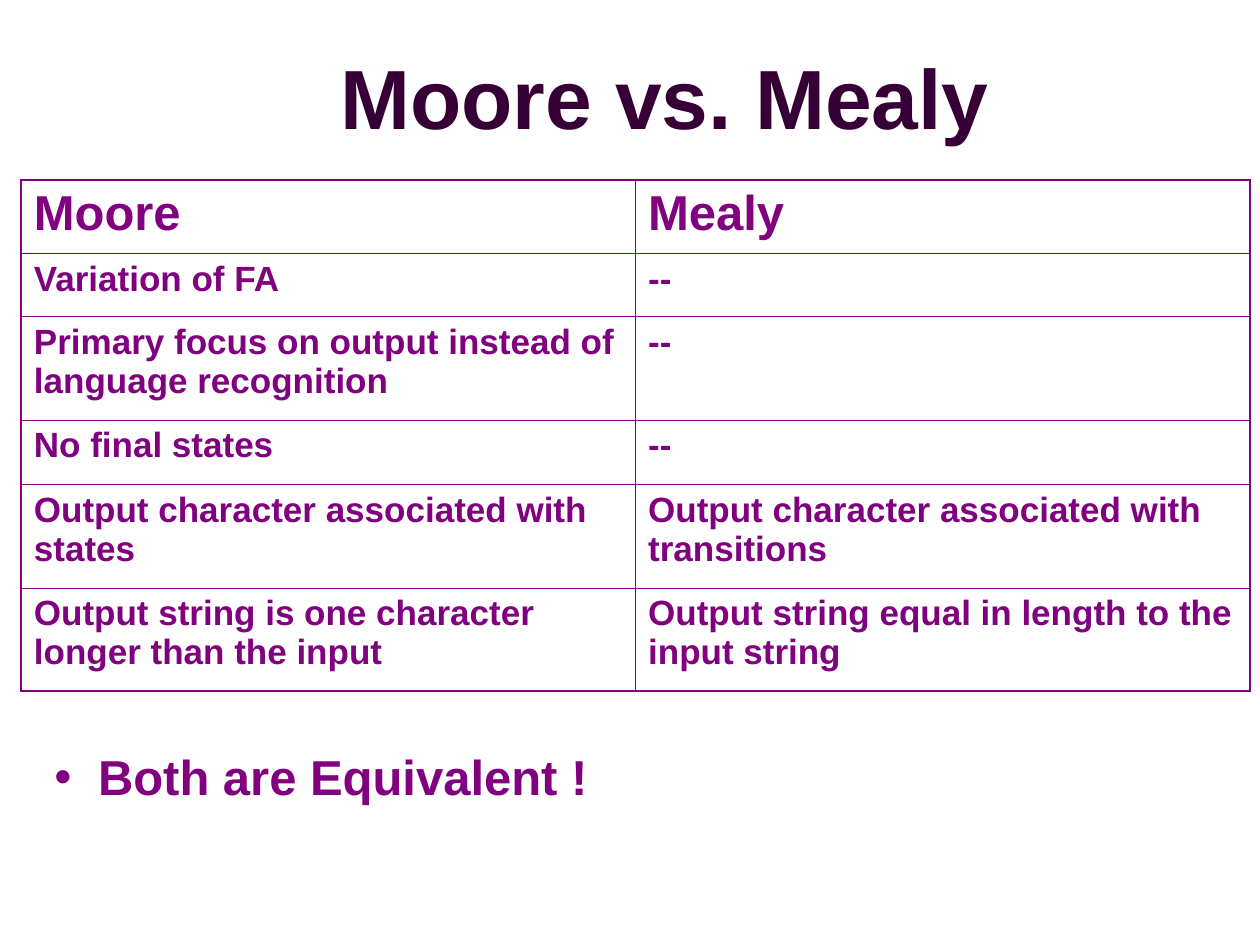
from lxml import etree
from pptx import Presentation
from pptx.dml.color import RGBColor
from pptx.enum.text import MSO_ANCHOR, MSO_AUTO_SIZE, PP_ALIGN
from pptx.oxml.ns import qn
from pptx.util import Pt

CENTER, LEFT = PP_ALIGN.CENTER, PP_ALIGN.LEFT
TOP, MIDDLE = MSO_ANCHOR.TOP, MSO_ANCHOR.MIDDLE
NO_FIT, GROW = MSO_AUTO_SIZE.NONE, MSO_AUTO_SIZE.SHAPE_TO_FIT_TEXT
PURPLE = RGBColor(0x80, 0x00, 0x80)
DARK_PURPLE = RGBColor(0x36, 0x00, 0x36)
FONT = "Arial"
TITLE_SIZE, LARGE_SIZE, CELL_SIZE = 48, 28, 20
OUTER_LINE, INNER_LINE = 1.08, 0.45
BULLET_INDENT = 25

COMPARISON = [
    ("Moore", "Mealy"),
    ("Variation of FA", "--"),
    ("Primary focus on output instead of language recognition", "--"),
    ("No final states", "--"),
    ("Output character associated with states",
     "Output character associated with transitions"),
    ("Output string is one character longer than the input",
     "Output string equal in length to the input string"),
]
ROW_HEIGHTS = [42, 36, 59, 37, 59, 59]
COLUMN_WIDTHS = [351, 351]


class SlideBuilder:
    """Holds the current slide and the shared text style."""

    def __init__(self, presentation):
        self.slide = presentation.slides.add_slide(presentation.slide_layouts[1])

    def add_text(self, frame, text, size, color=PURPLE, alignment=LEFT):
        paragraph = frame.paragraphs[0]
        paragraph.alignment = alignment
        paragraph.space_before = Pt(0)
        run = paragraph.add_run()
        run.text = text
        run.font.name = FONT
        run.font.size = Pt(size)
        run.font.bold = True
        run.font.color.rgb = color

    def place(self, shape, left, top, width, height):
        shape.left, shape.top = Pt(left), Pt(top)
        shape.width, shape.height = Pt(width), Pt(height)

    def title(self, text, *box):
        shape = self.slide.shapes.title
        self.place(shape, *box)
        frame = shape.text_frame
        frame.auto_size = NO_FIT
        frame.vertical_anchor = MIDDLE
        self.add_text(frame, text, TITLE_SIZE, DARK_PURPLE, CENTER)

    def bullet(self, text, *box):
        shape = self.slide.placeholders[1]
        self.place(shape, *box)
        frame = shape.text_frame
        frame.auto_size = GROW
        frame.vertical_anchor = TOP
        frame.margin_top = Pt(5.5)
        properties = frame.paragraphs[0]._p.get_or_add_pPr()
        properties.set("marL", str(Pt(BULLET_INDENT)))
        properties.set("indent", str(-Pt(BULLET_INDENT)))
        etree.SubElement(properties, qn("a:buChar")).set("char", "•")
        self.add_text(frame, text, LARGE_SIZE)

    def border(self, cell, side, width):
        line = etree.SubElement(cell._tc.get_or_add_tcPr(), qn("a:" + side))
        line.set("w", str(Pt(width)))
        fill = etree.SubElement(line, qn("a:solidFill"))
        etree.SubElement(fill, qn("a:srgbClr")).set("val", str(PURPLE))

    def table(self, rows, left, top):
        last_row, last_column = len(rows) - 1, len(COLUMN_WIDTHS) - 1
        table = self.slide.shapes.add_table(
            len(rows), len(COLUMN_WIDTHS), Pt(left), Pt(top),
            Pt(sum(COLUMN_WIDTHS)), Pt(sum(ROW_HEIGHTS))).table
        table.horz_banding = False
        for column, width in zip(table.columns, COLUMN_WIDTHS):
            column.width = Pt(width)
        for row_index, texts in enumerate(rows):
            table.rows[row_index].height = Pt(ROW_HEIGHTS[row_index])
            for column_index, text in enumerate(texts):
                cell = table.cell(row_index, column_index)
                size = LARGE_SIZE if row_index == 0 else CELL_SIZE
                self.add_text(cell.text_frame, text, size)
                # Borders come before the fill in the cell properties
                outer_sides = {
                    "lnL": column_index == 0,
                    "lnR": column_index == last_column,
                    "lnT": row_index == 0,
                    "lnB": row_index == last_row,
                }
                for side, is_outer in outer_sides.items():
                    self.border(cell, side, OUTER_LINE if is_outer else INNER_LINE)
                cell.fill.background()


def main():
    presentation = Presentation()
    presentation.slide_width, presentation.slide_height = Pt(720), Pt(540)
    builder = SlideBuilder(presentation)

    # Heading
    builder.title("Moore vs. Mealy", 89.3, 12.2, 581, 85.7)
    # Comparison of the two machines
    builder.table(COMPARISON, 12.2, 103)
    # Conclusion
    builder.bullet("Both are Equivalent !", 23.8, 421.2, 648, 41)

    presentation.save("out.pptx")


if __name__ == "__main__":
    main()
